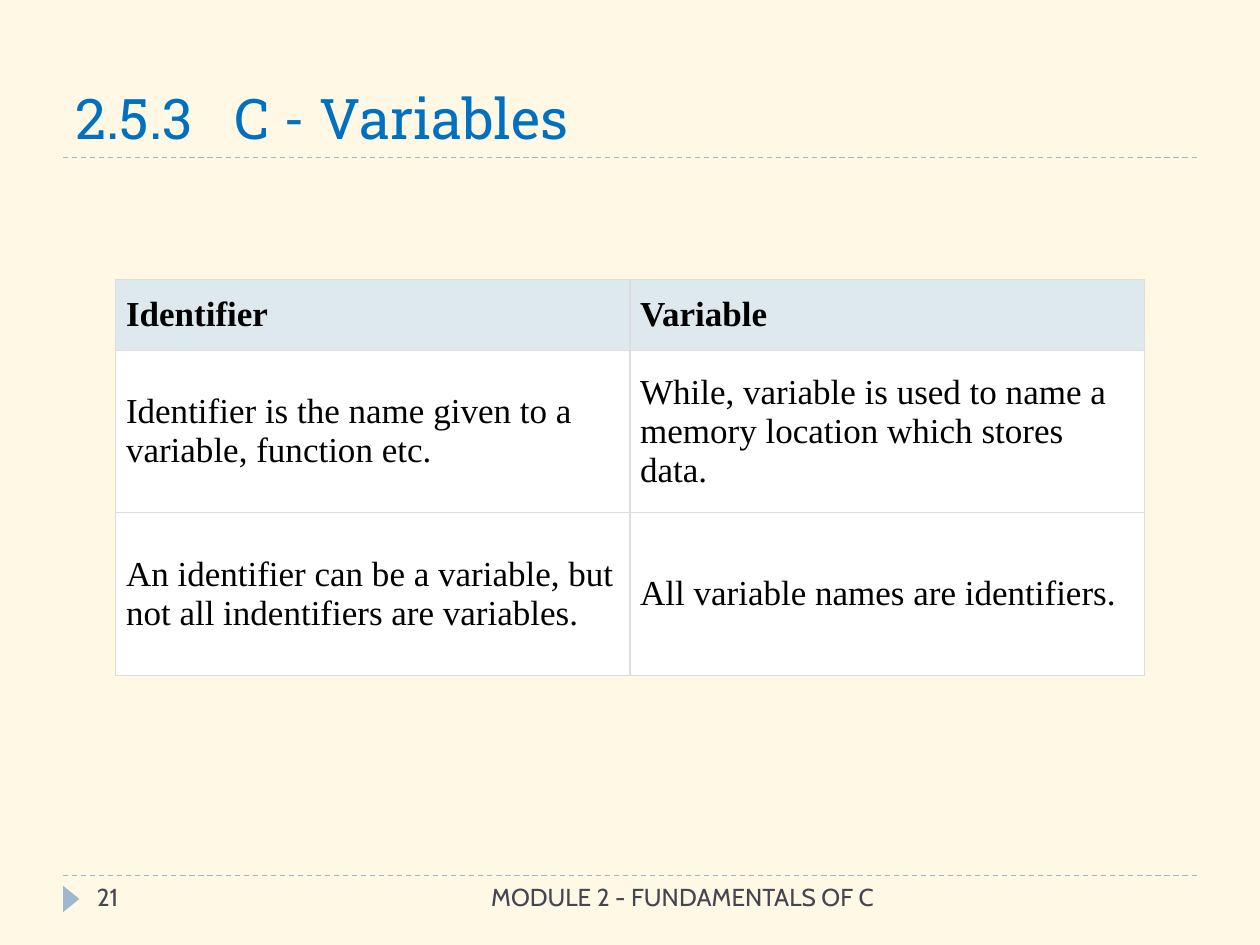
import pptx
import pptx.dml.color
import pptx.enum.dml
import pptx.enum.shapes
import pptx.enum.text
import pptx.oxml
import pptx.oxml.ns
import pptx.util
from pptx.util import Inches

COLORS = {
    "background": "FEF8E4",
    "accent": "9FB8CD",
    "title": "0070C0",
    "footer": "464653",
    "text": "000000",
    "header": "DDE9EC",
    "cell": "FFFFFF",
    "border": "DDDDDD",
}
ROWS = [
    ("Identifier", "Variable"),
    ("Identifier is the name given to a variable, function etc.",
     "While, variable is used to name a memory location which stores data."),
    ("An identifier can be a variable, but not all indentifiers are variables.",
     "All variable names are identifiers."),
]
ROW_HEIGHTS = [0.56, 1.29, 1.29]
ALIGN = pptx.enum.text.PP_ALIGN
ANCHOR = pptx.enum.text.MSO_ANCHOR


def rgb(name):
    return pptx.dml.color.RGBColor.from_string(COLORS[name])


def element(xml):
    """Parse an XML fragment whose root tag takes the drawing namespace."""
    tag, rest = xml.split(" ", 1)
    return pptx.oxml.parse_xml(f"{tag} {pptx.oxml.ns.nsdecls('a')} {rest}")


class SlideBuilder:
    title_font = "Roboto Slab"
    footer_font = "Cabin"
    table_font = "Times New Roman"

    def __init__(self, slide):
        self.s = slide
        fill = slide.background.fill
        fill.solid()
        fill.fore_color.rgb = rgb("background")

    def add_run(self, p, text, font, size, color, bold=False):
        r = p.add_run()
        r.text = text
        r.font.name = font
        r.font.size = pptx.util.Pt(size)
        r.font.bold = bold
        r.font.color.rgb = rgb(color)

    def title(self, number, heading, left, top, width, height):
        """Fill the title; a tab stop separates the number from the heading."""
        sp = self.s.shapes.title
        sp.left, sp.top = Inches(left), Inches(top)
        sp.width, sp.height = Inches(width), Inches(height)
        tf = sp.text_frame
        tf.auto_size = pptx.enum.text.MSO_AUTO_SIZE.NONE
        tf.vertical_anchor = ANCHOR.BOTTOM
        p = tf.paragraphs[0]
        p.alignment = ALIGN.LEFT
        p._p.get_or_add_pPr().append(element(
            f'<a:tabLst ><a:tab pos="{Inches(1.26)}" algn="l"/></a:tabLst>'))
        self.add_run(p, f"{number}\t{heading}", self.title_font, 32, "title")

    def footer(self, text, left, width, align=ALIGN.LEFT):
        sp = self.s.shapes.add_textbox(
            Inches(left), Inches(6.95), Inches(width), Inches(0.4))
        tf = sp.text_frame
        tf.word_wrap = True
        p = tf.paragraphs[0]
        p.alignment = align
        self.add_run(p, text, self.footer_font, 14, "footer")

    def dashed_rule(self, y):
        line = self.s.shapes.add_connector(
            pptx.enum.shapes.MSO_CONNECTOR.STRAIGHT,
            Inches(0.5), Inches(y), Inches(9.5), Inches(y))
        line.line.color.rgb = rgb("accent")
        line.line.width = pptx.util.Pt(0.75)
        line.line.dash_style = pptx.enum.dml.MSO_LINE.DASH
        line._element.spPr.append(element("<a:effectLst />"))

    def page_marker(self, left, top, width, height):
        sp = self.s.shapes.add_shape(
            pptx.enum.shapes.MSO_SHAPE.ISOSCELES_TRIANGLE,
            Inches(left), Inches(top), Inches(width), Inches(height))
        sp.rotation = 90
        sp.shadow.inherit = False
        sp.fill.solid()
        sp.fill.fore_color.rgb = rgb("accent")
        sp.line.fill.background()

    def cell(self, cell, text, header):
        cell.margin_left = cell.margin_right = Inches(0.08)
        cell.margin_top = cell.margin_bottom = Inches(0.08)
        cell.vertical_anchor = ANCHOR.MIDDLE
        self.add_run(cell.text_frame.paragraphs[0], text,
                     self.table_font, 20, "text", header)
        tcPr = cell._tc.get_or_add_tcPr()
        for side in ("lnL", "lnR", "lnT", "lnB"):
            tcPr.append(element(
                f'<a:{side} w="{pptx.util.Pt(0.75)}"><a:solidFill>'
                f'<a:srgbClr val="{COLORS["border"]}"/>'
                f'</a:solidFill></a:{side}>'))
        cell.fill.solid()
        cell.fill.fore_color.rgb = rgb("header" if header else "cell")

    def table(self, rows, heights, left, top, width):
        table = self.s.shapes.add_table(
            len(rows), len(rows[0]), Inches(left), Inches(top),
            Inches(width), Inches(sum(heights))).table
        for i, (texts, height) in enumerate(zip(rows, heights)):
            table.rows[i].height = Inches(height)
            for j, text in enumerate(texts):
                self.cell(table.cell(i, j), text, header=i == 0)


def main():
    prs = pptx.Presentation()
    prs.slide_width, prs.slide_height = Inches(10), Inches(7.5)
    title_only = prs.slide_layouts[5]
    builder = SlideBuilder(prs.slides.add_slide(title_only))
    for y in (6.95, 1.25):
        builder.dashed_rule(y)
    builder.page_marker(0.46, 7.07, 0.21, 0.13)
    builder.title("2.5.3", "C - Variables", 0.5, 0.17, 9, 1.08)
    builder.footer("MODULE 2 - FUNDAMENTALS OF C ", 3.17, 3.91, ALIGN.RIGHT)
    builder.footer("21", 0.67, 2.17)
    builder.table(ROWS, ROW_HEIGHTS, 0.92, 2.22, 8.16)
    prs.save("out.pptx")


if __name__ == "__main__":
    main()
